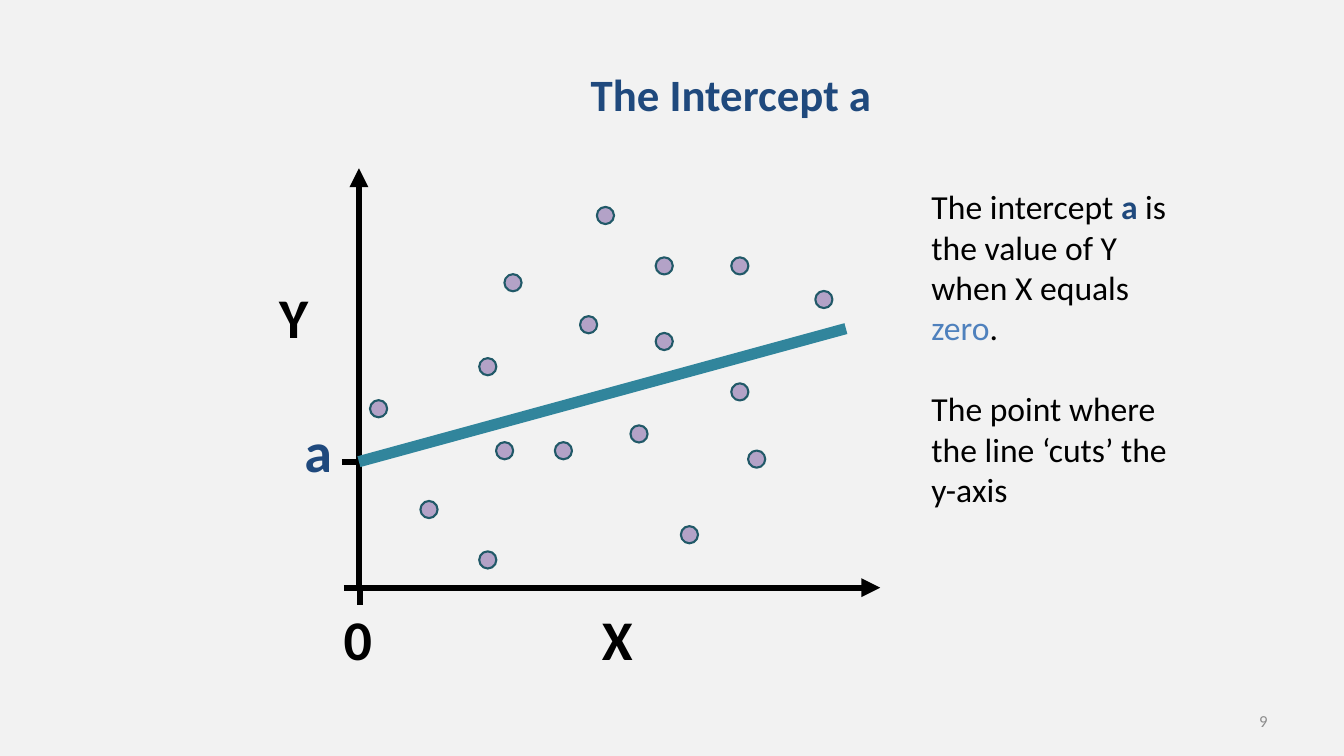
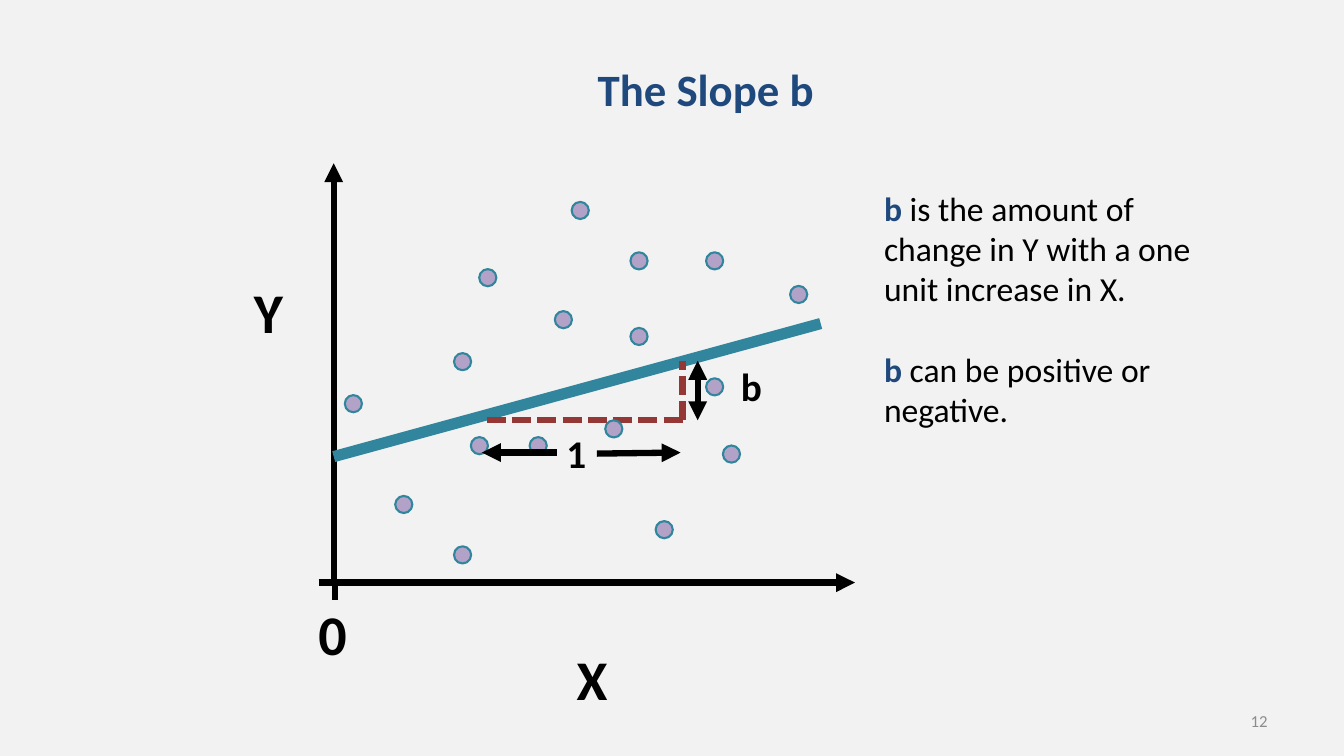
from dataclasses import dataclass

from pptx import Presentation
from pptx.dml.color import RGBColor
from pptx.enum.dml import MSO_LINE
from pptx.enum.shapes import MSO_CONNECTOR, MSO_SHAPE
from pptx.enum.text import MSO_ANCHOR, MSO_AUTO_SIZE, PP_ALIGN
from pptx.oxml.ns import qn
from pptx.util import Inches, Pt

STRAIGHT, OVAL = MSO_CONNECTOR.STRAIGHT, MSO_SHAPE.OVAL
DASHED = MSO_LINE.SQUARE_DOT
TOP, MIDDLE = MSO_ANCHOR.TOP, MSO_ANCHOR.MIDDLE
LEFT, CENTER, RIGHT = PP_ALIGN.LEFT, PP_ALIGN.CENTER, PP_ALIGN.RIGHT
FIT_TEXT = MSO_AUTO_SIZE.SHAPE_TO_FIT_TEXT
TITLE_ONLY = 5


@dataclass(frozen=True)
class Theme:
    """Fonts, colours, type sizes and line widths shared by the slides."""
    font: str = "Calibri"
    paper: str = "F2F2F2"
    ink: str = "000000"
    navy: str = "1F497D"
    blue: str = "4F81BD"
    grey: str = "8C8C8C"
    teal: str = "31859C"
    dark_teal: str = "215968"
    lilac: str = "B3A2C7"
    red: str = "953735"
    title: int = 32
    axis: int = 40
    measure: int = 28
    body: int = 24
    page: int = 12
    line: float = 4.5
    fit: float = 8
    outline: float = 1.5


T = Theme()
TERM = {"color": T.navy, "bold": True}
ACCENT = {"color": T.blue}

# A paragraph is a list of (text, run format) pairs.
SLIDES = [
    {
        "title": "The Intercept a", "page": "9", "origin": (3.56, 5.83),
        "x_label_y": -0.12, "dot_line": T.dark_teal, "kind": "intercept",
        "note_box": (9.14, 1.8, 2.61, 3.33),
        "note": [
            [("The intercept ", {}), ("a", TERM),
             (" is the value of Y when X equals ", {}), ("zero", ACCENT), (".", {})],
            [("The point where the line ‘cuts’ the y-axis", {})],
        ],
    },
    {
        "title": "The Slope b", "page": "12", "origin": (3.31, 5.78),
        "x_label_y": -0.56, "dot_line": T.teal, "kind": "slope",
        "note_box": (8.67, 1.81, 3.33, 2.52),
        "note": [
            [("b", TERM),
             (" is the amount of change in Y with a one unit increase in X.", {})],
            [("b", TERM), (" can be positive or negative.", {})],
        ],
    },
]

# Scatter positions, in twelfths of an inch right of and above the lowest dot corner.
DOTS = [(16, 33), (22, 13), (13, 0), (6, 6), (31, 15), (37, 3), (45, 12), (27, 41),
        (34, 35), (0, 18), (43, 35), (53, 31), (25, 28), (43, 20), (34, 26),
        (13, 23), (15, 13)]
DOT_STEP, DOT_SIZE, DOT_START = 1 / 12, 0.17, (0.11, 0.36)

# Inches right of and above the origin of the axes.
INTERCEPT = 1.25
AXES = [((-0.03, 0), (5.17, 0)), ((0, 0), (0, 4.16))]
TICKS = [((0.01, -0.17), (0.01, 0)), ((-0.15, 0), (0.02, 0))]
FIT_LINE = ((0, INTERCEPT), (4.83, 2.57))
RUN, RISE = ((1.52, 1.61), (3.5, 1.61)), ((3.46, 1.61), (3.46, 2.2))
RUN_RIGHT, RUN_LEFT = ((2.61, 1.28), (3.44, 1.29)), ((2.21, 1.29), (1.47, 1.29))
RISE_SPAN = ((3.61, 1.61), (3.61, 2.2))


def rgb(value):
    """Turn a hex string into a colour."""
    return RGBColor.from_string(value)


def write(tf, paragraphs, size, color=T.ink, bold=False, align=LEFT,
          anchor=TOP, gap=0, wrap=True):
    """Fill a text frame with a string or a list of formatted paragraphs."""
    tf.word_wrap, tf.vertical_anchor = wrap, anchor
    if isinstance(paragraphs, str):
        paragraphs = [[(paragraphs, {})]]
    for i, runs in enumerate(paragraphs):
        p = tf.add_paragraph() if i else tf.paragraphs[0]
        p.alignment, p.space_before = align, Pt(gap if i else 0)
        for text, style in runs:
            r = p.add_run()
            r.text = text
            r.font.name, r.font.size = T.font, Pt(size)
            r.font.bold = style.get("bold", bold)
            r.font.color.rgb = rgb(style.get("color", color))


def add_text(s, box, text, fit=True, **style):
    """Add a text box at (left, top, width, height) in inches."""
    tf = s.shapes.add_textbox(*map(Inches, box)).text_frame
    write(tf, text, **style)
    if fit:
        tf.auto_size = FIT_TEXT


class Plot:
    """A scatter drawing whose points are measured from its origin."""

    def __init__(self, s, origin):
        """Keep the slide and the origin."""
        self.s, self.origin = s, origin

    def at(self, x, y):
        """Slide position of a point right of and above the origin."""
        return self.origin[0] + x, self.origin[1] - y

    def label(self, text, x, y, width=0.49, height=0.77, size=T.axis, color=T.ink):
        """Add a bold label with its top left corner at a point."""
        add_text(self.s, (*self.at(x, y), width, height), text,
                 size=size, color=color, bold=True, wrap=False)

    def line(self, ends, color=T.ink, width=T.line, dash=None, arrows=()):
        """Draw a line, with arrowheads at the ends named in arrows."""
        points = [Inches(v) for end in ends for v in self.at(*end)]
        sp = self.s.shapes.add_connector(STRAIGHT, *points)
        sp.line.color.rgb, sp.line.width = rgb(color), Pt(width)
        if dash:
            sp.line.dash_style = dash
        ln = sp.line._get_or_add_ln()
        for arrow in arrows:
            end = ln.makeelement(qn(f"a:{arrow}"), {"type": "triangle"})
            ln.append(end)
        props = ln.getparent()
        props.append(props.makeelement(qn("a:effectLst"), {}))

    def axes(self, x_label_y):
        """Draw both axes with their ticks and labels."""
        for ends in AXES:
            self.line(ends, arrows=("tailEnd",))
        for ends in TICKS:
            self.line(ends)
        self.label("X", 2.31, x_label_y, width=0.51)
        self.label("Y", -0.89, 3.08)
        self.label("0", -0.25, -0.12)

    def dots(self, outline):
        """Draw the scatter as one group."""
        group = self.s.shapes.add_group_shape()
        for column, row in DOTS:
            left, top = self.at(DOT_START[0] + column * DOT_STEP,
                                DOT_START[1] + row * DOT_STEP)
            sp = group.shapes.add_shape(OVAL, Inches(left), Inches(top),
                                        Inches(DOT_SIZE), Inches(DOT_SIZE))
            sp.shadow.inherit = False
            sp.fill.solid()
            sp.fill.fore_color.rgb = rgb(T.lilac)
            sp.line.color.rgb, sp.line.width = rgb(outline), Pt(T.outline)

    def intercept(self):
        """Mark where the fitted line meets the y-axis."""
        self.line(((-0.17, INTERCEPT), (0, INTERCEPT)))
        self.label("a", -0.64, 1.75, color=T.navy)

    def slope_triangle(self):
        """Draw the dashed run and rise under the fitted line."""
        for ends in (RUN, RISE):
            self.line(ends, color=T.red, dash=DASHED)

    def slope_measures(self):
        """Label the run and the rise with arrows."""
        for ends in (RUN_RIGHT, RUN_LEFT):
            self.line(ends, arrows=("tailEnd",))
        self.line(RISE_SPAN, arrows=("headEnd", "tailEnd"))
        for text, x, y in (("1", 2.21, 1.57), ("b", 3.94, 2.23)):
            self.label(text, x, y, width=0.4, height=0.57, size=T.measure)


def build_slide(prs, content):
    """Build one slide: title, page number, note and scatter drawing."""
    s = prs.slides.add_slide(prs.slide_layouts[TITLE_ONLY])
    plot = Plot(s, content["origin"])
    title = s.shapes.title
    left, top = plot.at(-0.81, 5.53)
    title.left, title.top = Inches(left), Inches(top)
    title.width, title.height = Inches(9), Inches(1.25)
    write(title.text_frame, content["title"], size=T.title, color=T.navy,
          bold=True, align=CENTER, anchor=MIDDLE)
    add_text(s, (9.56, 6.95, 3.11, 0.4), content["page"], fit=False,
             size=T.page, color=T.grey, align=RIGHT, anchor=MIDDLE)
    add_text(s, content["note_box"], content["note"], size=T.body, gap=29)

    is_slope = content["kind"] == "slope"
    plot.axes(content["x_label_y"])
    if not is_slope:
        plot.intercept()
    plot.line(FIT_LINE, color=T.teal, width=T.fit)
    if is_slope:
        plot.slope_triangle()
    plot.dots(content["dot_line"])
    if is_slope:
        plot.slope_measures()


def main():
    """Build and save the presentation."""
    prs = Presentation()
    prs.slide_width, prs.slide_height = Inches(13.33), Inches(7.5)
    fill = prs.slide_master.background.fill
    fill.solid()
    fill.fore_color.rgb = rgb(T.paper)
    for content in SLIDES:
        build_slide(prs, content)
    prs.save("out.pptx")


main()
